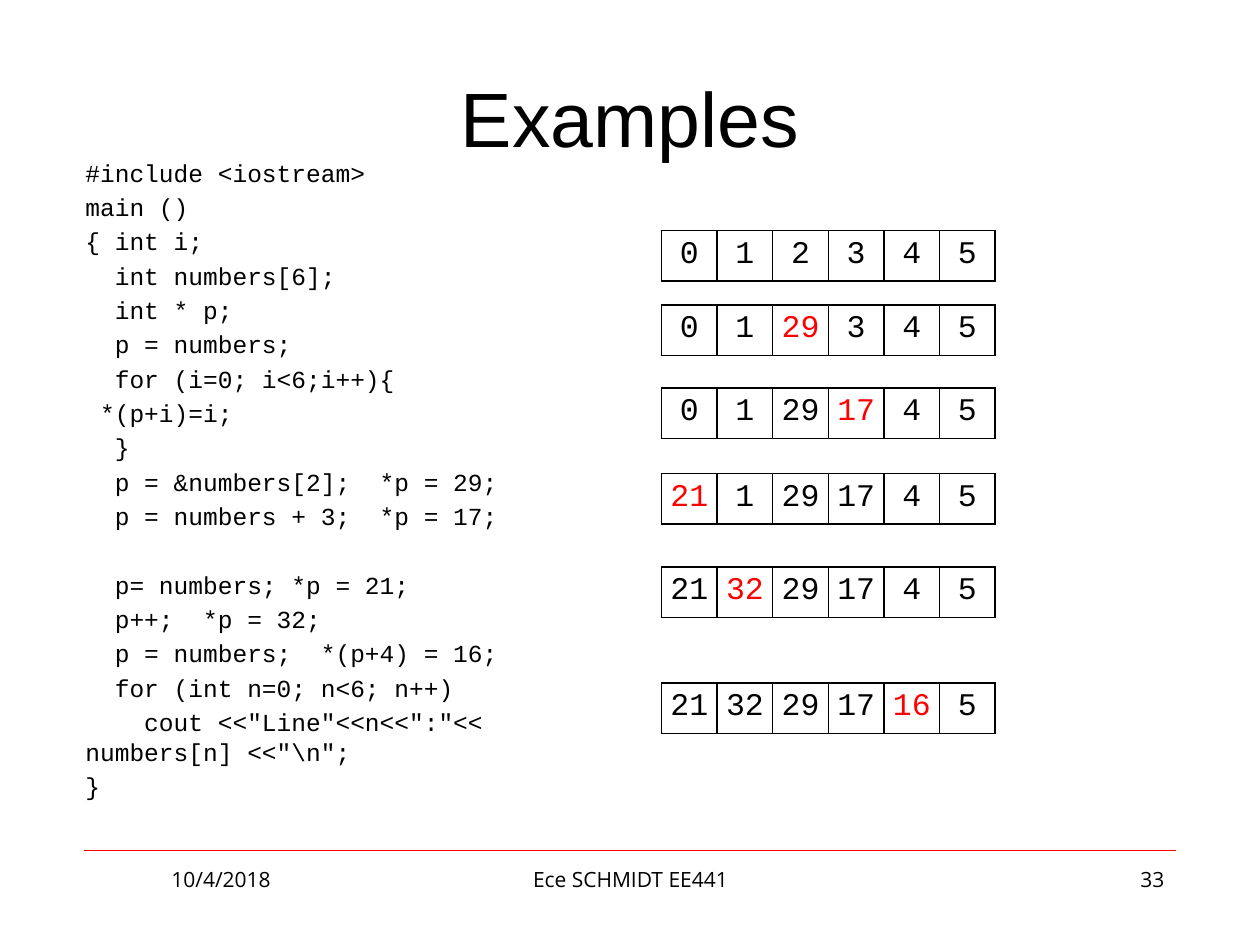
import pptx
import pptx.dml.color
import pptx.enum.shapes
import pptx.enum.text
import pptx.util
from lxml import etree
from pptx.util import Inches

COLORS = {"text": "000000", "changed": "FF0000", "rule": "FF0000", "cell": "FFFFFF"}
ALIGN = pptx.enum.text.PP_ALIGN
ANCHOR = pptx.enum.text.MSO_ANCHOR
DRAWING = "http://schemas.openxmlformats.org/drawingml/2006/main"


def rgb(name):
    return pptx.dml.color.RGBColor.from_string(COLORS[name])


def add_text(para, text, font, size, align, color="text"):
    para.alignment = align
    span = para.add_run()
    span.text = text
    span.font.name = font
    span.font.size = pptx.util.Pt(size)
    span.font.bold = False
    span.font.color.rgb = rgb(color)


deck = pptx.Presentation()
deck.slide_width, deck.slide_height = Inches(10), Inches(7.5)
page = deck.slides.add_slide(deck.slide_layouts[5])

# Footer rule
rule = page.shapes.add_connector(
    pptx.enum.shapes.MSO_CONNECTOR.STRAIGHT,
    Inches(0.67), Inches(6.75), Inches(9.33), Inches(6.75))
rule.line.color.rgb = rgb("rule")
rule.line.width = pptx.util.Pt(0.25)
etree.SubElement(rule._element.spPr, f"{{{DRAWING}}}effectLst")

# Title
title = page.shapes.title
title.left, title.top = Inches(0.5), Inches(0.3)
title.width, title.height = Inches(9), Inches(1.25)
title.text_frame.vertical_anchor = ANCHOR.MIDDLE
add_text(title.text_frame.paragraphs[0], "Examples", "Arial", 44, ALIGN.CENTER)

# Code listing, in two groups set apart by a wider gap
code_groups = [
    ["#include <iostream>",
     "main ()",
     "{ int i;",
     "  int numbers[6];",
     "  int * p;",
     "  p = numbers;",
     "  for (i=0; i<6;i++){",
     " *(p+i)=i;",
     "  }",
     "  p = &numbers[2];  *p = 29;",
     "  p = numbers + 3;  *p = 17;"],
    ["  p= numbers; *p = 21;",
     "  p++;  *p = 32;",
     "  p = numbers;  *(p+4) = 16;",
     "  for (int n=0; n<6; n++)",
     '    cout <<"Line"<<n<<":"<< numbers[n] <<"\\n";',
     "}"],
]
LINE_HEIGHT, LINE_GAP = 17, 2.6
code_box = page.shapes.add_textbox(Inches(0.58), Inches(1.2), Inches(4.5), Inches(4.95))
code_frame = code_box.text_frame
code_frame.word_wrap = True
para = code_frame.paragraphs[0]
for group_index, group in enumerate(code_groups):
    for line_index, code_line in enumerate(group):
        if group_index or line_index:
            para = code_frame.add_paragraph()
        starts_group = group_index > 0 and line_index == 0
        gap = LINE_GAP + (LINE_HEIGHT + LINE_GAP if starts_group else 0)
        para.space_before = pptx.util.Pt(gap)
        para.line_spacing = pptx.util.Pt(LINE_HEIGHT)
        add_text(para, code_line, "Courier New", 14, ALIGN.LEFT)

# Array states: top of the table, then the index and value assigned
numbers = [0, 1, 2, 3, 4, 5]
steps = [(1.83, None, None), (2.42, 2, 29), (3.08, 3, 17),
         (3.76, 0, 21), (4.5, 1, 32), (5.42, 4, 16)]
for top, changed, value in steps:
    if changed is not None:
        numbers[changed] = value
    table = page.shapes.add_table(
        1, len(numbers), Inches(5.25), Inches(top), Inches(2.65), Inches(0.4)).table
    table.first_row = False
    table.horz_banding = False
    for index, number in enumerate(numbers):
        table.columns[index].width = Inches(2.65 / len(numbers))
        cell = table.cell(0, index)
        cell.margin_left = cell.margin_right = Inches(0.04)
        cell.margin_top = cell.margin_bottom = Inches(0.05)
        cell.fill.solid()
        cell.fill.fore_color.rgb = rgb("cell")
        add_text(cell.text_frame.paragraphs[0], str(number), "Courier New", 18,
                 ALIGN.CENTER, "changed" if index == changed else "text")
        cell_properties = cell._tc.get_or_add_tcPr()
        for position, side in enumerate(("lnL", "lnR", "lnT", "lnB")):
            border = etree.Element(f"{{{DRAWING}}}{side}", w=str(pptx.util.Pt(1)))
            fill = etree.SubElement(border, f"{{{DRAWING}}}solidFill")
            etree.SubElement(fill, f"{{{DRAWING}}}srgbClr", val=COLORS["text"])
            cell_properties.insert(position, border)

# Footer
footers = [("10/4/2018", 0.67, 2.17, ALIGN.CENTER),
           ("Ece SCHMIDT EE441", 3.42, 3.17, ALIGN.CENTER),
           ("33", 7.17, 2.17, ALIGN.RIGHT)]
for text, left, width, align in footers:
    box = page.shapes.add_textbox(Inches(left), Inches(6.83), Inches(width), Inches(0.52))
    box.text_frame.word_wrap = True
    add_text(box.text_frame.paragraphs[0], text, "Open Sans", 12, align)

deck.save("out.pptx")
